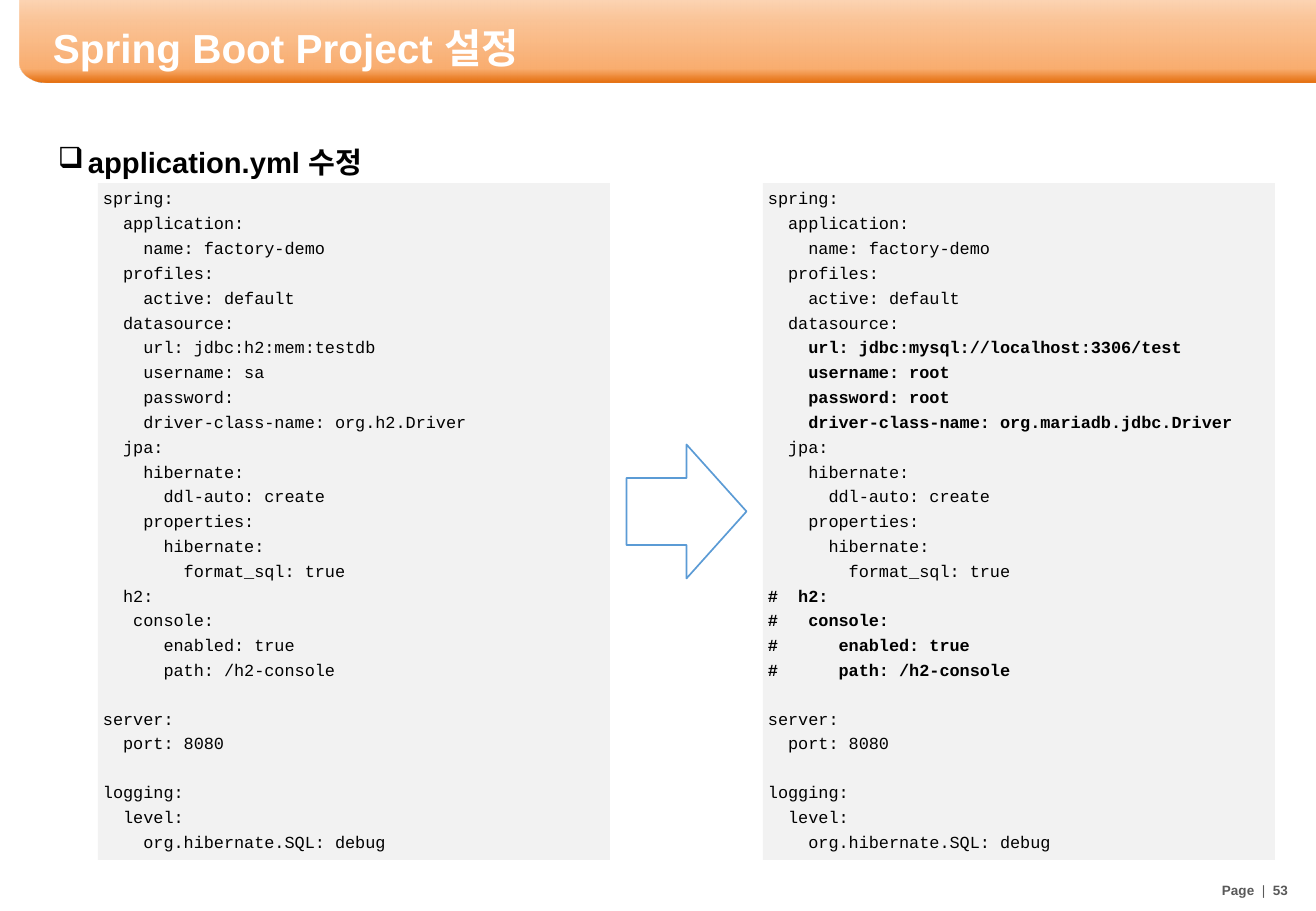
import math
from lxml import etree
from pptx import Presentation, util as u
from pptx.dml.color import RGBColor
from pptx.enum import shapes, text
from pptx.oxml.ns import qn

TITLE = "Spring Boot Project 설정"
HEADING = "application.yml 수정"
FOOTER = [("Page  ", True), ("|  ", False), ("53", True)]
BEFORE = """spring:
  application:
    name: factory-demo
  profiles:
    active: default
  datasource:
    url: jdbc:h2:mem:testdb
    username: sa
    password:
    driver-class-name: org.h2.Driver
  jpa:
    hibernate:
      ddl-auto: create
    properties:
      hibernate:
        format_sql: true
  h2:
   console:
      enabled: true
      path: /h2-console

server:
  port: 8080

logging:
  level:
    org.hibernate.SQL: debug""".split("\n")
CHANGES = {
    "    url: jdbc:h2:mem:testdb": "    url: jdbc:mysql://localhost:3306/test",
    "    username: sa": "    username: root",
    "    password:": "    password: root",
    "    driver-class-name: org.h2.Driver": "    driver-class-name: org.mariadb.jdbc.Driver",
    "  h2:": "#  h2:",
    "   console:": "#   console:",
    "      enabled: true": "#      enabled: true",
    "      path: /h2-console": "#      path: /h2-console",
}
C = {"white": "FFFFFF", "black": "000000", "grey": "595959",
     "panel": "F2F2F2", "arrow": "5B9BD5"}
BANNER_STOPS = [(0, "FCD5B5", 100), (26, "FAC090", 93),
                (83, "F9AD6F", 100), (100, "E46C0A", 100)]
FORMATS = {
    "title": {"name": "Arial", "size": u.Pt(24), "bold": True, "color": C["white"]},
    "heading": {"name": "Arial", "size": u.Pt(17.3), "bold": True, "color": C["black"]},
    "footer": {"name": "Arial", "size": u.Pt(8), "color": C["grey"]},
    "code": {"name": "Courier New", "size": u.Pt(10), "color": C["black"]},
}
SLIDE_W, SLIDE_H = 1316, 911
BANNER_X, BANNER_H, CORNER_W, CORNER_H = 20, 83, 28, 20
PANEL_Y, PANEL_W, PANEL_H = 183, 512, 677
BEFORE_X, AFTER_X = 98, 763
ARROW_W, ARROW_H = 120, 134
LINE_GAP, LINE_PITCH = 2.7, 14.03
PX = 914400 / 121.5


def px(n):
    return u.Emu(round(n * PX))


def style(font, kind, **extra):
    for key, value in {**FORMATS[kind], **extra}.items():
        if key == "color":
            font.color.rgb = RGBColor.from_string(value)
        else:
            setattr(font, key, value)


def add_label(s, box, runs, kind):
    tf = s.shapes.add_textbox(*map(px, box)).text_frame
    tf.word_wrap = True
    tf.vertical_anchor = text.MSO_ANCHOR.MIDDLE
    p = tf.paragraphs[0]
    for words, bold in runs:
        r = p.add_run()
        r.text = words
        style(r.font, kind, bold=bold)
    return p


def add_bullet(p, char, indent):
    pPr = p._p.get_or_add_pPr()
    pPr.set("marL", str(px(indent)))
    pPr.set("indent", str(-px(indent)))
    etree.SubElement(pPr, qn("a:buChar")).set("char", char)


def add_banner(s):
    corner = [(BANNER_X + CORNER_W * (1 - math.sin(a)),
               BANNER_H - CORNER_H * (1 - math.cos(a)))
              for a in (math.radians(d) for d in range(0, 91, 6))]
    outline = [(SLIDE_W, 0), (SLIDE_W, BANNER_H)] + corner
    fb = s.shapes.build_freeform(px(BANNER_X), 0)
    fb.add_line_segments([(px(x), px(y)) for x, y in outline], close=True)
    sp = fb.convert_to_shape()
    sp.shadow.inherit = False
    sp.line.fill.background()
    sp.fill.gradient()
    sp.fill.gradient_angle = 270
    stops = sp._element.spPr.find(".//" + qn("a:gsLst"))
    for old in list(stops):
        stops.remove(old)
    for pos, color, opacity in BANNER_STOPS:
        gs = etree.SubElement(stops, qn("a:gs"), pos=str(pos * 1000))
        clr = etree.SubElement(gs, qn("a:srgbClr"), val=color)
        if opacity < 100:
            etree.SubElement(clr, qn("a:alpha"), val=str(opacity * 1000))


def add_block(s, preset, box, fill, line=None):
    sp = s.shapes.add_shape(preset, *map(px, box))
    sp.shadow.inherit = False
    sp.fill.solid()
    sp.fill.fore_color.rgb = RGBColor.from_string(fill)
    if line:
        sp.line.color.rgb = RGBColor.from_string(line)
        sp.line.width = u.Pt(1)
    else:
        sp.line.fill.background()
    return sp


def add_code(s, x, lines):
    sp = add_block(s, shapes.MSO_SHAPE.RECTANGLE, (x, PANEL_Y, PANEL_W, PANEL_H), C["panel"])
    tf = sp.text_frame
    tf.word_wrap = True
    tf.vertical_anchor = text.MSO_ANCHOR.TOP
    for side in ("left", "top", "right", "bottom"):
        setattr(tf, f"margin_{side}", px(5))
    p, gap = tf.paragraphs[0], 0
    for i, (line, bold) in enumerate(lines):
        if not line:
            gap += LINE_PITCH
            continue
        if i:
            p = tf.add_paragraph()
            p.space_before = u.Pt(gap)
        p.alignment = text.PP_ALIGN.LEFT
        r = p.add_run()
        r.text = line
        style(r.font, "code", bold=bold)
        gap = LINE_GAP


def main():
    prs = Presentation()
    prs.slide_width, prs.slide_height = px(SLIDE_W), px(SLIDE_H)
    s = prs.slides.add_slide(prs.slide_layouts[6])
    add_label(s, (1210, 874, 103, 32), FOOTER, "footer")
    add_banner(s)
    add_label(s, (41, 16, 1259, 62), [(TITLE, True)], "title")
    heading = add_label(s, (46, 137, 1225, 50), [(HEADING, True)], "heading")
    add_bullet(heading, "❑", 30)
    add_code(s, BEFORE_X, [(line, False) for line in BEFORE])
    add_code(s, AFTER_X, [(CHANGES.get(line, line), line in CHANGES) for line in BEFORE])
    arrow_x = (BEFORE_X + PANEL_W + AFTER_X - ARROW_W) / 2
    arrow_y = PANEL_Y + (PANEL_H - ARROW_H) / 2 - 10
    add_block(s, shapes.MSO_SHAPE.RIGHT_ARROW, (arrow_x, arrow_y, ARROW_W, ARROW_H),
              C["white"], C["arrow"])
    prs.save("out.pptx")


if __name__ == "__main__":
    main()
